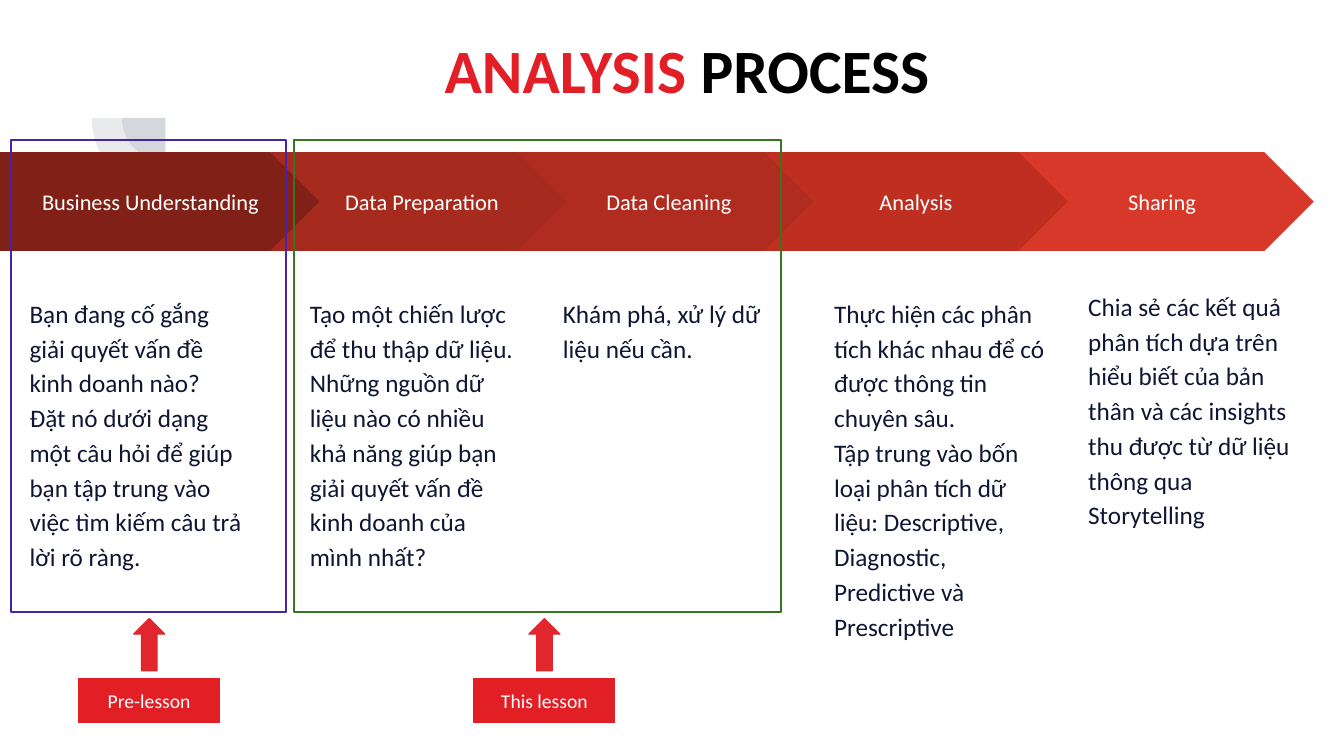
"""Build the analysis process slide: five chevron steps and two lesson frames."""
from dataclasses import dataclass

from lxml import etree
from pptx import Presentation
from pptx.dml.color import RGBColor
from pptx.enum.shapes import MSO_SHAPE as SHAPE
from pptx.enum.text import MSO_ANCHOR as ANCHOR, MSO_AUTO_SIZE as AUTO, PP_ALIGN as ALIGN
from pptx.oxml.ns import qn
from pptx.util import Inches, Pt

RED = RGBColor(0xE2, 0x1F, 0x26)
LABEL_RED = RGBColor(0xE3, 0x1F, 0x26)
ARROW_RED = RGBColor(0xE2, 0x26, 0x2D)
BLACK = RGBColor(0, 0, 0)
WHITE = RGBColor(0xFF, 0xFF, 0xFF)
NAVY = RGBColor(0x0E, 0x16, 0x33)
SLATE = RGBColor(0x44, 0x54, 0x6A)
PURPLE = RGBColor(0x44, 0x24, 0xA9)
GREEN = RGBColor(0x38, 0x76, 0x1D)
STEP_INSET = 2 / 15


@dataclass
class Step:
    name: str
    left: float
    color: RGBColor
    text_left: float
    notes: tuple[str, ...]
    kind: SHAPE = SHAPE.CHEVRON
    width: float = 3.01
    text_top: float = 2.78
    text_height: float = 3.43


@dataclass
class Lesson:
    name: str
    left: float
    width: float
    color: RGBColor
    center: float


STEPS = [
    Step("Business Understanding", 0, RGBColor(0x80, 0x20, 0x17), 0.16,
         ("Bạn đang cố gắng giải quyết vấn đề kinh doanh nào? Đặt nó dưới dạng một câu hỏi "
          "để giúp bạn tập trung vào việc tìm kiếm câu trả lời rõ ràng.",),
         kind=SHAPE.PENTAGON, width=3.23),
    Step("Data Preparation", 2.68, RGBColor(0xA7, 0x2A, 0x1E), 2.94,
         ("Tạo một chiến lược để thu thập dữ liệu. Những nguồn dữ liệu nào có nhiều "
          "khả năng giúp bạn giải quyết vấn đề kinh doanh của mình nhất?",)),
    Step("Data Cleaning", 5.13, RGBColor(0xB0, 0x2C, 0x20), 5.45,
         ("Khám phá, xử lý dữ liệu nếu cần.",)),
    Step("Sharing", 10.02, RGBColor(0xD8, 0x38, 0x29), 10.66,
         ("Chia sẻ các kết quả phân tích dựa trên hiểu biết của bản thân và các insights "
          "thu được từ dữ liệu thông qua Storytelling",), text_top=2.71),
    Step("Analysis", 7.58, RGBColor(0xBE, 0x2F, 0x22), 8.14,
         ("Thực hiện các phân tích khác nhau để có được thông tin chuyên sâu.",
          "Tập trung vào bốn loại phân tích dữ liệu: Descriptive, Diagnostic, "
          "Predictive và Prescriptive"), text_height=4.04),
]
LESSONS = [
    Lesson("Pre-lesson", 0.11, 2.73, PURPLE, 1.48),
    Lesson("This lesson", 2.92, 4.83, GREEN, 5.4),
]


def add_shape(s, kind: SHAPE, box: tuple, fill: RGBColor | None = None,
              line: RGBColor | None = None, weight: float = 0.75):
    """Add a preset shape without a shadow."""
    sp = s.shapes.add_shape(kind, *map(Inches, box))
    sp.shadow.inherit = False
    if fill is None:
        sp.fill.background()
    else:
        sp.fill.solid()
        sp.fill.fore_color.rgb = fill
    if line is None:
        sp.line.fill.background()
    else:
        sp.line.color.rgb = line
        sp.line.width = Pt(weight)
    return sp


def set_frame(sp, inset: tuple[float, float], anchor: ANCHOR):
    """Set wrapping, anchor and the horizontal and vertical insets."""
    across, down = map(Inches, inset)
    values = {"word_wrap": True, "vertical_anchor": anchor,
              "margin_left": across, "margin_right": across,
              "margin_top": down, "margin_bottom": down}
    for key, value in values.items():
        setattr(sp.text_frame, key, value)
    return sp.text_frame


def add_run(p, text: str, size: int, color: RGBColor, bold: bool = False) -> None:
    """Append one formatted run to a paragraph."""
    r = p.add_run()
    r.text = text
    for key, value in {"name": "Calibri", "size": Pt(size), "bold": bold}.items():
        setattr(r.font, key, value)
    r.font.color.rgb = color


def add_pie(s, radius: float) -> None:
    """Draw a translucent quarter disc behind the first step."""
    sp = add_shape(s, SHAPE.PIE, (1.64 - radius, 1.17 - radius, 2 * radius, 2 * radius), SLATE)
    sp.rotation = 270
    sp.adjustments[0], sp.adjustments[1] = 107.93, 162
    color = sp.fill._xPr.find(qn("a:solidFill"))[0]
    etree.SubElement(color, qn("a:alpha"), val="12000")


def add_title(s) -> None:
    """Draw the two-colour title."""
    sp = s.shapes.add_textbox(*map(Inches, (1.69, 0.3, 10.25, 0.86)))
    p = set_frame(sp, (0.1, 0.05), ANCHOR.MIDDLE).paragraphs[0]
    p.alignment, p.line_spacing = ALIGN.CENTER, 0.9
    add_run(p, "ANALYSIS", 44, RED, True)
    add_run(p, " PROCESS", 44, BLACK, True)


def add_step(s, step: Step) -> None:
    """Draw one step arrow with its description."""
    inset = (STEP_INSET, STEP_INSET)
    sp = add_shape(s, step.kind, (step.left, 1.51, step.width, 0.98), step.color)
    sp.adjustments[0] = 0.5
    p = set_frame(sp, inset, ANCHOR.MIDDLE).paragraphs[0]
    p.alignment = ALIGN.CENTER
    add_run(p, step.name, 16, WHITE)

    box = (step.text_left, step.text_top, 2.37, step.text_height)
    sp = s.shapes.add_textbox(*map(Inches, box))
    tf = set_frame(sp, inset, ANCHOR.TOP)
    for i, note in enumerate(step.notes):
        p = tf.add_paragraph() if i else tf.paragraphs[0]
        p.alignment, p.line_spacing = ALIGN.LEFT, 1.15
        add_run(p, note, 18, NAVY)


def add_lesson(s, lesson: Lesson) -> None:
    """Draw a lesson frame, its arrow and its label."""
    add_shape(s, SHAPE.RECTANGLE, (lesson.left, 1.39, lesson.width, 4.68),
              line=lesson.color, weight=1.5)
    sp = add_shape(s, SHAPE.RIGHT_ARROW, (lesson.center - 0.26, 6.24, 0.52, 0.31),
                   ARROW_RED, ARROW_RED)
    sp.rotation = 270
    sp = add_shape(s, SHAPE.RECTANGLE, (lesson.center - 0.7, 6.73, 1.4, 0.44),
                   LABEL_RED, LABEL_RED)
    tf = set_frame(sp, (0.1, 0.1), ANCHOR.TOP)
    tf.auto_size = AUTO.SHAPE_TO_FIT_TEXT
    p = tf.paragraphs[0]
    p.alignment = ALIGN.CENTER
    add_run(p, lesson.name, 14, WHITE)


def main() -> None:
    """Build and save the slide."""
    prs = Presentation()
    prs.slide_width, prs.slide_height = Inches(13.33), Inches(7.5)
    s = prs.slides.add_slide(prs.slide_layouts[6])
    for radius in (0.43, 0.73):
        add_pie(s, radius)
    add_title(s)
    for step in STEPS:
        add_step(s, step)
    for lesson in LESSONS:
        add_lesson(s, lesson)
    prs.save("out.pptx")


if __name__ == "__main__":
    main()
